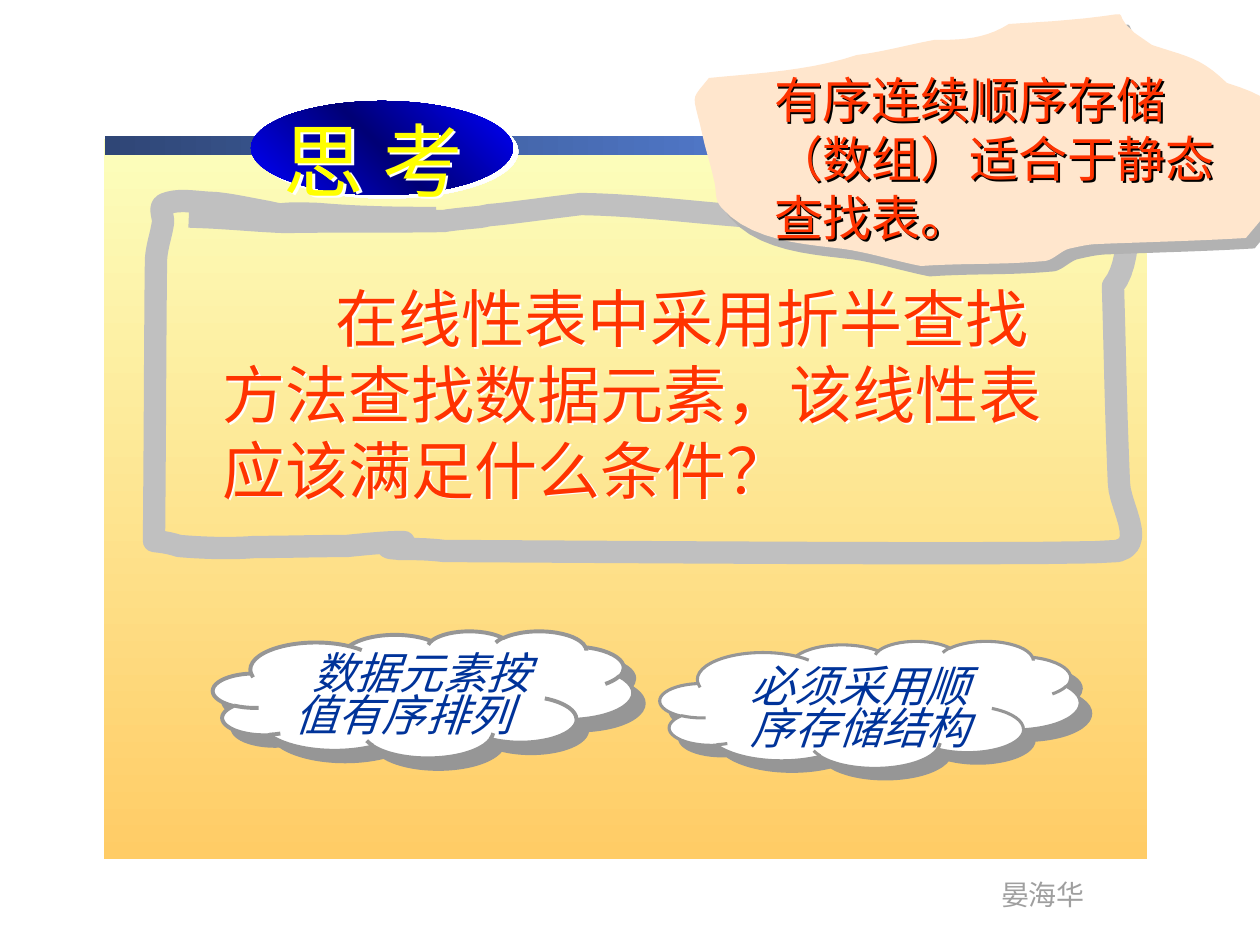
from dataclasses import dataclass

from lxml import etree
from pptx import Presentation
from pptx import util as u
from pptx.dml.color import RGBColor
from pptx.enum import shapes, text
from pptx.oxml import ns

PX = 914400 / 126


@dataclass(frozen=True)
class Theme:
    sans: str = "Noto Sans CJK SC"
    sans_jp: str = "Noto Sans CJK JP"
    narrow: str = "Arial Narrow"
    title: int = 46
    question: int = 36
    callout: int = 28
    answer: int = 25
    footer: int = 16
    red: str = "FF3300"
    yellow: str = "FFFF00"
    navy: str = "003399"
    white: str = "FFFFFF"
    black: str = "000000"
    silver: str = "C0C0C0"
    gray: str = "969696"
    footer_gray: str = "9F9F9F"
    peach: str = "FFE6CD"
    peach_shadow: str = "B2B2B2"
    panel: tuple = ((0, "FCFEBC"), (100, "FFCC66"))
    bar: tuple = ((0, "2F4676"), (100, "6699FF"))
    badge: tuple = ((0, "0000FF"), (50, "000076"), (100, "0000FF"))


T = Theme()

FRAME = [
    (46, 19), (75, 20), (102, 23), (131, 24), (184, 23), (237, 24), (290, 23),
    (302, 21), (326, 19), (326, 19), (347, 15), (321, 19), (356, 15),
    (380, 12), (403, 9), (427, 6), (486, 7), (543, 15), (602, 19),
    (690, 30), (621, 23), (814, 20), (846, 17), (884, 16), (914, 7),
    (941, 10), (945, 11), (975, 10), (974, 28), (975, 69), (959, 88),
    (961, 154), (962, 219), (965, 285), (965, 307), (993, 346), (964, 353),
    (938, 358), (344, 353), (290, 353), (274, 351), (261, 351), (245, 351),
    (242, 350), (237, 351), (234, 349), (232, 346), (252, 344), (250, 344),
    (232, 344), (213, 346), (193, 348), (162, 348), (132, 349), (101, 349),
    (75, 351), (50, 350), (25, 348), (16, 345), (9, 344), (0, 343),
    (1, 249), (1, 156), (2, 64), (2, 51), (7, 38), (9, 25),
    (10, 19), (4, 9), (11, 6), (26, 0), (45, 5), (61, 5),
    (80, 7), (97, 11), (114, 14), (136, 19), (116, 14), (164, 16),
    (199, 19), (235, 20), (271, 20),
]

SCRAP = [
    (245, 40), (218, 45), (194, 52), (168, 55), (120, 71), (70, 73), (20, 78),
    (0, 103), (4, 91), (14, 137), (17, 151), (22, 165), (25, 180),
    (28, 189), (25, 199), (32, 207), (61, 241), (114, 244), (155, 249),
    (182, 253), (206, 261), (232, 266), (274, 263), (315, 265), (356, 261),
    (364, 260), (371, 252), (379, 249), (388, 247), (400, 244), (410, 244),
    (459, 242), (508, 241), (557, 238), (560, 234), (582, 209), (586, 202),
    (600, 176), (586, 170), (615, 152), (605, 113), (581, 96), (538, 83),
    (511, 57), (499, 57), (463, 45), (390, 0), (497, 15), (320, 24),
    (296, 39), (274, 40), (245, 40),
]


def px(n):
    return u.Emu(round(n * PX))


def rgb(value):
    return RGBColor.from_string(value)


def add_color(parent, value):
    etree.SubElement(parent, ns.qn("a:srgbClr")).set("val", value)


def cast_shadow(sp, color, dist, angle=45):
    sp.shadow.inherit = False
    effects = sp._element.spPr.find(ns.qn("a:effectLst"))
    shadow = etree.SubElement(effects, ns.qn("a:outerShdw"), blurRad="0",
                              dist=str(u.Pt(dist)), dir=str(angle * 60000),
                              algn="ctr", rotWithShape="0")
    add_color(shadow, color)


def fill_gradient(sp, stops, angle):
    sp.fill.gradient()
    sp.fill.gradient_angle = (360 - angle) % 360
    stop_list = next(sp._element.iter(ns.qn("a:gsLst")))
    stop_list.clear()
    for pos, color in stops:
        add_color(etree.SubElement(stop_list, ns.qn("a:gs"), pos=str(pos * 1000)), color)


def add_preset(s, kind, box):
    sp = s.shapes.add_shape(kind, *map(px, box))
    sp.shadow.inherit = False
    sp.line.fill.background()
    return sp


def add_curve(s, origin, points, close):
    curve = [points[0]]
    steps = 10
    for i in range(0, len(points) - 1, 3):
        a, b, c, d = points[i:i + 4]
        for k in range(1, steps + 1):
            t = k / steps
            v = 1 - t
            curve.append(tuple(v**3 * e + 3 * v * v * t * f + 3 * v * t * t * g + t**3 * h
                               for e, f, g, h in zip(a, b, c, d)))
    curve = [(px(x), px(y)) for x, y in curve]
    builder = s.shapes.build_freeform(*curve[0], scale=1.0)
    builder.add_line_segments(curve[1:], close=close)
    sp = builder.convert_to_shape(px(origin[0]), px(origin[1]))
    sp.shadow.inherit = False
    return sp


def write_text(sp, lines, size, color, font=T.sans, italic=False, pitch=1.2, indent=0, wrap=True):
    tf = sp.text_frame
    tf.auto_size = text.MSO_AUTO_SIZE.NONE
    tf.word_wrap = wrap
    tf.vertical_anchor = text.MSO_ANCHOR.TOP
    tf.margin_left = tf.margin_right = px(13)
    tf.margin_top, tf.margin_bottom = px(6 + round(size * 0.2)), 0
    for i, line in enumerate(lines):
        p = tf.add_paragraph() if i else tf.paragraphs[0]
        p.alignment = text.PP_ALIGN.LEFT
        p.line_spacing = u.Pt(round(size * pitch, 1))
        if indent and not i:
            p._p.get_or_add_pPr().set("indent", str(px(indent)))
        r = p.add_run()
        r.text = line
        r.font.size = u.Pt(size)
        r.font.name = font
        r.font.italic = italic
        r.font.color.rgb = rgb(color)
        east = T.sans if font == T.narrow else font
        etree.SubElement(r._r.get_or_add_rPr(), ns.qn("a:ea")).set("typeface", east)


def add_text(s, box, lines, size, color, **style):
    sp = s.shapes.add_textbox(*map(px, box))
    write_text(sp, lines, size, color, **style)
    return sp


def add_backdrop(s, x, y, w, h):
    panel = add_preset(s, shapes.MSO_SHAPE.RECTANGLE, (x, y + 3, w, h - 3))
    fill_gradient(panel, T.panel, 90)
    bar = add_preset(s, shapes.MSO_SHAPE.RECTANGLE, (x + 1, y, w - 1, 19))
    fill_gradient(bar, T.bar, 0)
    add_text(s, (x + 884, y + 733, 110, 47), ["晏海华"], T.footer, T.footer_gray,
             font=T.narrow, wrap=False)


def add_question(s, x, y):
    frame = add_curve(s, (x, y), FRAME, False)
    frame.fill.background()
    frame.line.color.rgb = rgb(T.silver)
    frame.line.width = u.Pt(12.75)
    ln = frame.line._get_or_add_ln()
    ln.set("cap", "sq")
    etree.SubElement(ln, ns.qn("a:round"))
    lines = ["在线性表中采用折半查找", "方法查找数据元素，该线性表", "应该满足什么条件？"]
    sp = add_text(s, (x + 56, y + 69, 976, 239), lines, T.question, T.red, indent=113)
    cast_shadow(sp, T.white, 1.5)


def add_answer(s, x, y, line_width, text_box, lines, indent=0):
    cloud = add_preset(s, shapes.MSO_SHAPE.CLOUD, (x, y, 420, 127))
    cloud.fill.solid()
    cloud.fill.fore_color.rgb = rgb(T.white)
    cloud.line.color.rgb = rgb(T.gray)
    cloud.line.width = u.Pt(line_width)
    cast_shadow(cloud, T.gray, 8.5)
    dx, dy, w, h = text_box
    add_text(s, (x + dx, y + dy, w, h), lines, T.answer, T.navy,
             italic=True, pitch=0.96, indent=indent)


def add_title(s, x, y, w, h):
    badge = add_preset(s, shapes.MSO_SHAPE.OVAL, (x, y, w, h))
    fill_gradient(badge, T.badge, 315)
    cast_shadow(badge, T.white, 3.6, 34)
    title = s.shapes.title
    title.left, title.top, title.width, title.height = map(px, (x + 20, y - 5, 280, 110))
    write_text(title, ["思 考"], T.title, T.yellow)
    cast_shadow(title, T.white, 2)
    s.shapes._spTree.append(title._element)


def add_callout(s, x, y):
    scrap = add_curve(s, (x, y), SCRAP, True)
    scrap.fill.solid()
    scrap.fill.fore_color.rgb = rgb(T.peach)
    scrap.line.fill.background()
    cast_shadow(scrap, T.peach_shadow, 7.8, 50)
    sp = add_text(s, (x + 72, y + 58, 483, 192), ["有序连续顺序存储（数组）适合于静态查找表。"],
                  T.callout, T.red, font=T.sans_jp)
    cast_shadow(sp, T.black, 1.5)


def main():
    prs = Presentation()
    prs.slide_width, prs.slide_height = px(1260), px(945)
    s = prs.slides.add_slide(prs.slide_layouts[5])
    add_backdrop(s, 104, 136, 1043, 723)
    add_question(s, 154, 198)
    add_answer(s, 213, 631, 2.25, (68, 14, 347, 97), ["数据元素按", "值有序排列"], indent=18)
    add_answer(s, 660, 641, 1.75, (78, 17, 309, 97), ["必须采用顺", "序存储结构"])
    add_title(s, 251, 101, 262, 94)
    add_callout(s, 689, 0)
    prs.save("out.pptx")


if __name__ == "__main__":
    main()
